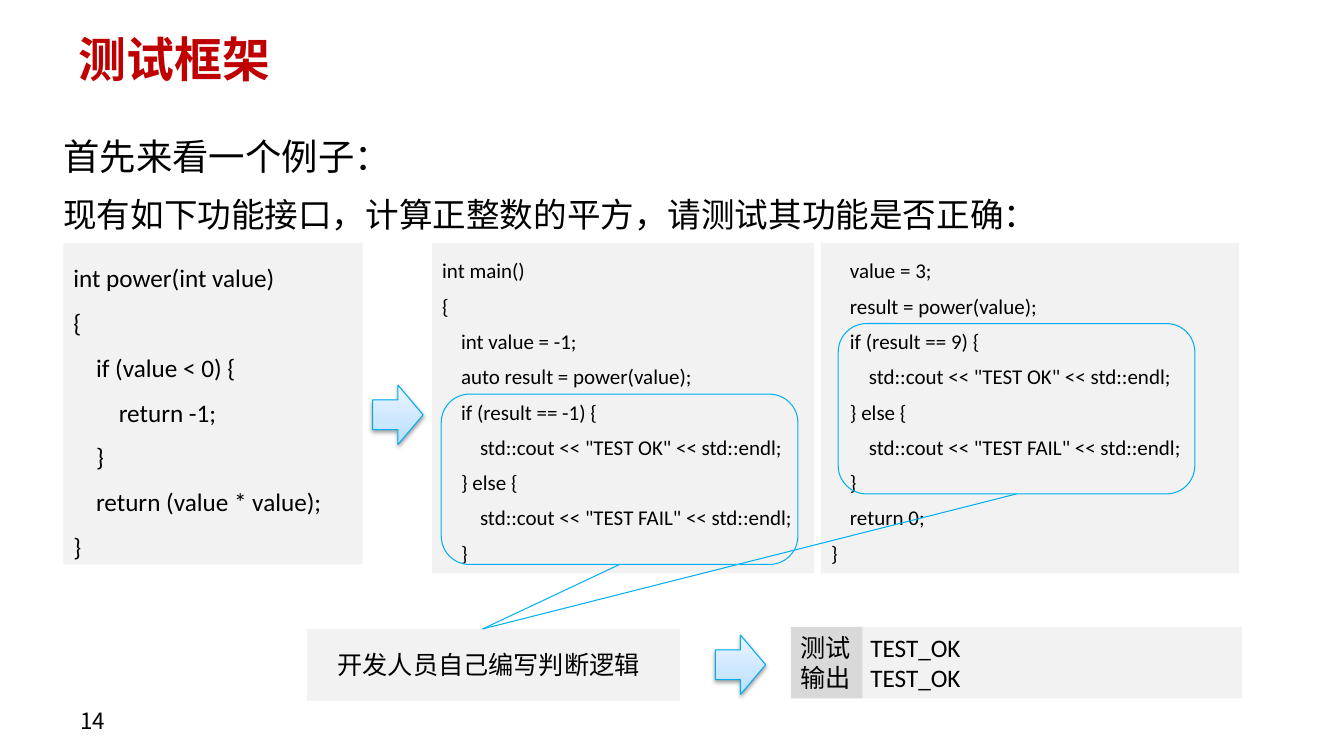
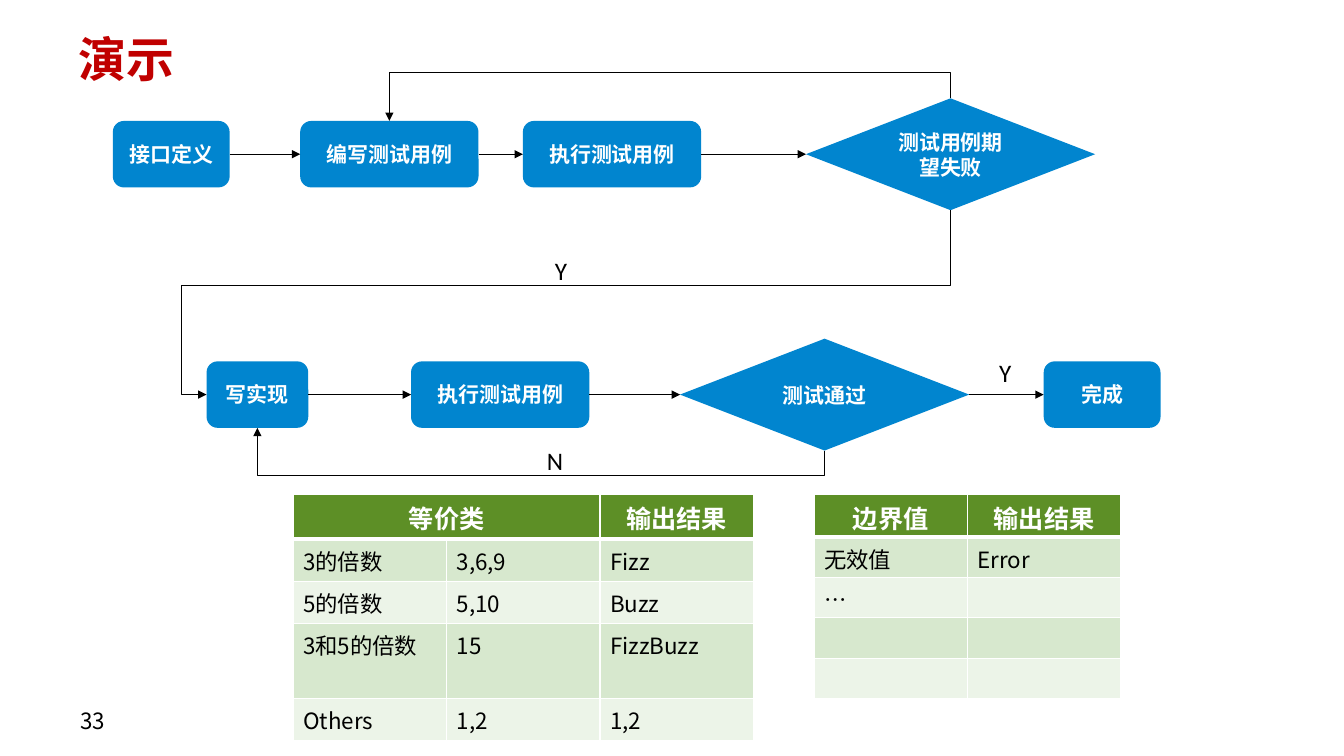
from copy import deepcopy
from dataclasses import dataclass
from itertools import pairwise

from lxml.etree import SubElement
from pptx import Presentation
from pptx.dml.color import RGBColor
from pptx.enum.shapes import MSO_CONNECTOR, MSO_SHAPE
from pptx.enum.text import MSO_ANCHOR, PP_ALIGN
from pptx.oxml.ns import qn
from pptx.util import Emu, Inches, Pt

# The grid: one column and one row are each a tenth of an inch.
CELL = Inches(0.1)
COLUMNS, ROWS = 133.4, 75

HAN, LATIN = "Noto Sans CJK SC", "Calibri"
BLACK, WHITE, RED = "000000", "FFFFFF", "C00000"
PANEL, PANEL_DARK = "F2F2F2", "D9D9D9"
NODE_BLUE, OUTLINE_BLUE, ARROW_LINE = "0185CF", "00B0F0", "00ACEB"
HEADER_GREEN, BANDS = "5D8F26", ("D7E8CE", "ECF4E8")
ARROW_STOPS = ((0, "B5DDFF"), (0.35, "CBE6FF"), (1, "EBF5FF"))

POWER_CODE = """int power(int value)
{
    if (value < 0) {
        return -1;
    }
    return (value * value);
}"""
MAIN_CODE = """int main()
{
    int value = -1;
    auto result = power(value);
    if (result == -1) {
        std::cout << "TEST OK" << std::endl;
    } else {
        std::cout << "TEST FAIL" << std::endl;
    }"""
MAIN_CODE_END = """    value = 3;
    result = power(value);
    if (result == 9) {
        std::cout << "TEST OK" << std::endl;
    } else {
        std::cout << "TEST FAIL" << std::endl;
    }
    return 0;
}"""


@dataclass(frozen=True)
class Area:
    """A rectangle in grid columns and rows."""
    left: float
    top: float
    width: float
    height: float

    @property
    def right(self) -> float:
        return self.left + self.width

    @property
    def bottom(self) -> float:
        return self.top + self.height

    @property
    def center(self) -> float:
        return self.left + self.width / 2

    @property
    def middle(self) -> float:
        return self.top + self.height / 2

    def lengths(self) -> list[Emu]:
        return [grid(value) for value in (self.left, self.top, self.width, self.height)]


@dataclass(frozen=True)
class Style:
    size: float
    font: str = HAN
    color: str = BLACK
    bold: bool = False
    align: PP_ALIGN = PP_ALIGN.LEFT
    spacing: float | Pt | None = None


@dataclass(frozen=True)
class Node:
    text: str
    left: float
    width: float
    decision: bool = False


@dataclass(frozen=True)
class Grid:
    """A table: place, row heights, texts, and how many columns the first header spans."""
    left: float
    top: float
    heights: list[float]
    rows: list[list[str]]
    span: int = 1


TITLE = Style(34.2, color=RED, bold=True)
NUMBER = Style(16)
LABEL = Style(18)
LATIN_LABEL = Style(18, LATIN)
NODE_TEXT = Style(15, color=WHITE, bold=True, align=PP_ALIGN.CENTER)
HEADER_TEXT = Style(18, color=WHITE, bold=True, align=PP_ALIGN.CENTER)
CELL_TEXT = Style(16)
POWER_TEXT = Style(18, LATIN, spacing=Pt(32))
MAIN_TEXT = Style(15, LATIN, spacing=1.4)


def grid(value: float) -> Emu:
    return Emu(round(value * CELL))


def rgb(value: str) -> RGBColor:
    return RGBColor.from_string(value)


def style_paragraph(paragraph, style: Style) -> None:
    paragraph.alignment = style.align
    paragraph.line_spacing = style.spacing
    font = paragraph.font
    font.size, font.bold, font.name = Pt(style.size), style.bold, style.font
    font.color.rgb = rgb(style.color)
    defaults = paragraph._p.pPr.find(qn("a:defRPr"))
    SubElement(defaults, qn("a:ea"), typeface=style.font)


def write(frame, text: str, *styles: Style) -> None:
    """Write one paragraph a line; the last style serves all further lines."""
    for index, line in enumerate(text.split("\n")):
        paragraph = frame.add_paragraph() if index else frame.paragraphs[0]
        paragraph.text = line
        style_paragraph(paragraph, styles[min(index, len(styles) - 1)])


def add_text(page, area: Area, text: str, *styles: Style, wrap: bool = True):
    frame = page.shapes.add_textbox(*area.lengths()).text_frame
    frame.word_wrap = wrap
    write(frame, text, *styles)
    return frame


def add_box(page, area: Area, fill: str | None = None, line: str | None = None,
            kind: MSO_SHAPE = MSO_SHAPE.RECTANGLE):
    box = page.shapes.add_shape(kind, *area.lengths())
    box.shadow.inherit = False
    if fill:
        box.fill.solid()
        box.fill.fore_color.rgb = rgb(fill)
    else:
        box.fill.background()
    if line:
        box.line.color.rgb = rgb(line)
        box.line.width = Pt(0.75)
    else:
        box.line.fill.background()
    return box


def add_panel(page, area: Area, text: str, style: Style, fill: str = PANEL,
              anchor: MSO_ANCHOR = MSO_ANCHOR.TOP, wrap: bool = True):
    frame = add_box(page, area, fill).text_frame
    frame.word_wrap, frame.vertical_anchor = wrap, anchor
    write(frame, text, style)
    return frame


def add_block_arrow(page, left: float, top: float) -> None:
    arrow = add_box(page, Area(left, top, 5, 5.9), line=ARROW_LINE, kind=MSO_SHAPE.RIGHT_ARROW)
    arrow.fill.gradient()
    arrow.fill.gradient_angle = 90
    stop_list = arrow._element.spPr.find(qn("a:gradFill")).find(qn("a:gsLst"))
    stop_list.append(deepcopy(stop_list[-1]))
    for stop, (position, color) in zip(arrow.fill.gradient_stops, ARROW_STOPS):
        stop.position = position
        stop.color.rgb = rgb(color)
    effects = arrow._element.spPr.find(qn("a:effectLst"))
    shadow = SubElement(effects, qn("a:outerShdw"), blurRad="40000", dist="20000",
                        dir="5400000", rotWithShape="0")
    shade = SubElement(shadow, qn("a:srgbClr"), val=BLACK)
    SubElement(shade, qn("a:alpha"), val="38000")


def add_line(page, start: tuple[float, float], end: tuple[float, float], color: str = BLACK,
             arrow: bool = True, kind: MSO_CONNECTOR = MSO_CONNECTOR.STRAIGHT):
    line = page.shapes.add_connector(kind, *(grid(value) for value in (*start, *end)))
    line.line.color.rgb = rgb(color)
    line.line.width = Pt(0.75)
    if arrow:
        SubElement(line.line._get_or_add_ln(), qn("a:tailEnd"), type="triangle")
    SubElement(line._element.spPr, qn("a:effectLst"))
    return line


def add_bent_arrow(page, start: tuple[float, float], end: tuple[float, float],
                   turn_row: float, turn_column: float | None = None) -> None:
    """Leave start vertically, run along turn_row, and reach end, by turn_column if given."""
    (x0, y0), (x1, y1) = start, end
    line = add_line(page, start, end, kind=MSO_CONNECTOR.ELBOW)
    width, height = abs(y1 - y0), abs(x1 - x0)
    area = Area((x0 + x1 - width) / 2, (y0 + y1 - height) / 2, width, height)
    line.left, line.top, line.width, line.height = area.lengths()
    frame = line._element.spPr.find(qn("a:xfrm"))
    frame.set("rot", "5400000")
    frame.set("flipH", str(int(y1 < y0)))
    frame.set("flipV", "0")
    ratios = [(turn_row - y0) / (y1 - y0)]
    if turn_column is not None:
        ratios.append((turn_column - x0) / (x1 - x0))
    geometry = line._element.spPr.find(qn("a:prstGeom"))
    geometry.set("prst", f"bentConnector{len(ratios) + 2}")
    guides = geometry.find(qn("a:avLst"))
    for number, ratio in enumerate(ratios, 1):
        SubElement(guides, qn("a:gd"), name=f"adj{number}", fmla=f"val {round(ratio * 100000)}")


def add_flow(page, nodes: list[Node], middle: float) -> list[Area]:
    """Draw a row of nodes joined by arrows and return their areas."""
    areas = []
    for node in nodes:
        height = 11.1 if node.decision else 6.6
        kind = MSO_SHAPE.FLOWCHART_DECISION if node.decision else MSO_SHAPE.ROUNDED_RECTANGLE
        area = Area(node.left, middle - height / 2, node.width, height)
        add_box_text = add_box(page, area, NODE_BLUE, kind=kind).text_frame
        add_box_text.word_wrap, add_box_text.vertical_anchor = True, MSO_ANCHOR.MIDDLE
        write(add_box_text, node.text, NODE_TEXT)
        areas.append(area)
    for before, after in pairwise(areas):
        add_line(page, (before.right, middle), (after.left, middle))
    return areas


def add_grid(page, content: Grid) -> None:
    width = len(content.rows[0])
    area = Area(content.left, content.top, 15.23 * width, sum(content.heights))
    table = page.shapes.add_table(len(content.rows), width, *area.lengths()).table
    for index, (texts, height) in enumerate(zip(content.rows, content.heights)):
        table.rows[index].height = grid(height)
        for column, text in enumerate(texts):
            cell = table.cell(index, column)
            if index == 0:
                rule = SubElement(cell._tc.get_or_add_tcPr(), qn("a:lnB"), w=str(Pt(3)))
                SubElement(SubElement(rule, qn("a:solidFill")), qn("a:srgbClr"), val=WHITE)
            cell.fill.solid()
            cell.fill.fore_color.rgb = rgb(BANDS[(index - 1) % 2] if index else HEADER_GREEN)
            cell.vertical_anchor = MSO_ANCHOR.TOP if index else MSO_ANCHOR.MIDDLE
            write(cell.text_frame, text, CELL_TEXT if index else HEADER_TEXT)
    if content.span > 1:
        table.cell(0, 0).merge(table.cell(0, content.span - 1))


def add_page(deck, title: str, number: int):
    page = deck.slides.add_slide(deck.slide_layouts[6])
    for area, text, style in ((Area(6.5, 2.8, 121.3, 5.9), title, TITLE),
                              (Area(6.7, 69.5, 31.1, 4), str(number), NUMBER)):
        frame = add_text(page, area, text, style)
        frame.vertical_anchor = MSO_ANCHOR.MIDDLE
        frame.margin_left = frame.margin_right = grid(1.3)
        frame.margin_top = frame.margin_bottom = grid(0.7)
    return page


def build_framework_page(deck) -> None:
    page = add_page(deck, "测试框架", 14)
    add_text(page, Area(5.3, 11.1, 104.7, 12.8),
             "首先来看一个例子：\n现有如下功能接口，计算正整数的平方，请测试其功能是否正确：",
             Style(26, spacing=1.4), Style(24, spacing=1.4))
    add_panel(page, Area(6.3, 24.1, 29.7, 31.9), POWER_CODE, POWER_TEXT)
    add_panel(page, Area(81.5, 24.1, 41.5, 32.8), MAIN_CODE_END, MAIN_TEXT)
    add_panel(page, Area(42.9, 24.1, 37.9, 32.8), MAIN_CODE, MAIN_TEXT)
    add_panel(page, Area(85.4, 62.2, 37.9, 7.1), "TEST_OK\nTEST_OK", LATIN_LABEL)
    add_panel(page, Area(78.5, 62.2, 7.1, 7.1), "测试\n输出", LABEL, PANEL_DARK, wrap=False)
    note = Area(30.5, 62.4, 37, 7.1)
    frame = add_panel(page, note, "开发人员自己编写判断逻辑", LABEL, anchor=MSO_ANCHOR.MIDDLE)
    frame.margin_left = grid(3)
    for left, top in ((43.8, 39.1), (83.2, 32.1)):
        check = Area(left, top, 35.4, 16.9)
        add_box(page, check, line=OUTLINE_BLUE, kind=MSO_SHAPE.ROUNDED_RECTANGLE)
        add_line(page, (check.center, check.bottom), (47.9, note.top), OUTLINE_BLUE, arrow=False)
    add_block_arrow(page, 37, 38.2)
    add_block_arrow(page, 71, 63)


def build_demo_page(deck) -> None:
    page = add_page(deck, "演示", 33)
    _, write_case, _, expect_failure = add_flow(page, [
        Node("接口定义", 11.2, 11.6), Node("编写测试用例", 29.8, 17.7),
        Node("执行测试用例", 51.9, 17.7), Node("测试用例期望失败", 80, 28.7, True)], 15.3)
    implement, _, passed, _ = add_flow(page, [
        Node("写实现", 20.5, 10.1), Node("执行测试用例", 40.8, 17.7),
        Node("测试通过", 67.5, 28.7, True), Node("完成", 103.6, 11.6)], 39.15)
    add_bent_arrow(page, (expect_failure.center, expect_failure.top),
                   (write_case.center, write_case.top), 7.2)
    add_bent_arrow(page, (expect_failure.center, expect_failure.bottom),
                   (implement.left, implement.middle), 28.3, 18)
    add_bent_arrow(page, (passed.center, passed.bottom),
                   (implement.center, implement.bottom), 47.2)
    for text, left, top in (("Y", 54.1, 24.8), ("N", 53.3, 43.7), ("Y", 98.2, 35)):
        add_text(page, Area(left, top, 3.4, 4), text, LATIN_LABEL, wrap=False)
    add_grid(page, Grid(29.1, 49, [4.5, 4.2, 4.2, 7.4, 4.2], [
        ["等价类", "", "输出结果"], ["3的倍数", "3,6,9", "Fizz"], ["5的倍数", "5,10", "Buzz"],
        ["3和5的倍数", "15", "FizzBuzz"], ["Others", "1,2", "1,2"]], span=2))
    add_grid(page, Grid(80.8, 49, [4.3, 4, 4, 4, 4], [
        ["边界值", "输出结果"], ["无效值", "Error"], ["…", ""], ["", ""], ["", ""]]))


def main() -> None:
    deck = Presentation()
    deck.slide_width, deck.slide_height = grid(COLUMNS), grid(ROWS)
    build_framework_page(deck)
    build_demo_page(deck)
    deck.save("out.pptx")


if __name__ == "__main__":
    main()
